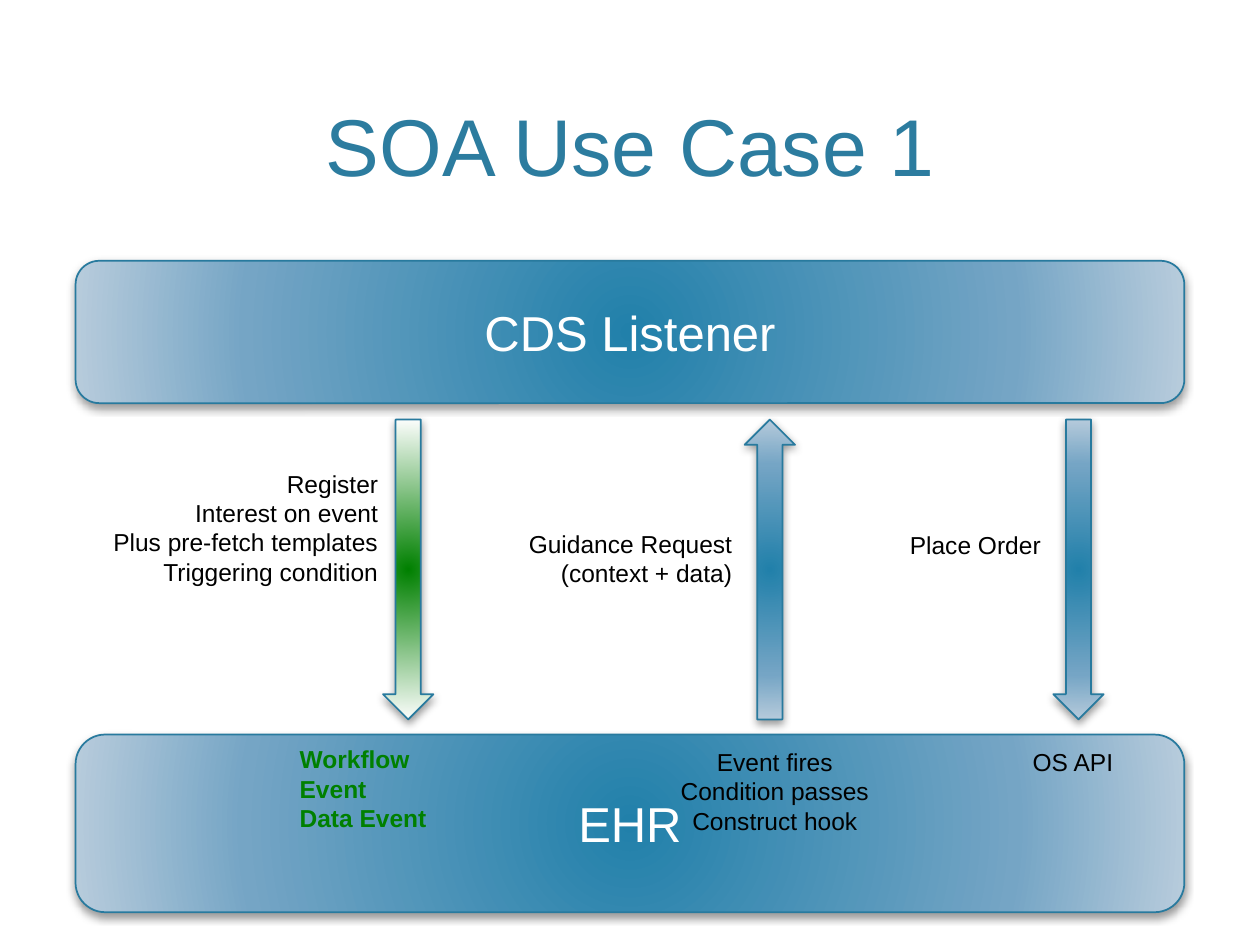
"""Builds the SOA Use Case 1 slide: a CDS listener and an EHR exchanging messages."""
from lxml import etree
from pptx import Presentation
from pptx.dml.color import RGBColor
from pptx.enum import shapes, text
from pptx.oxml import parse_xml
from pptx.util import Inches, Pt

NS = "http://schemas.openxmlformats.org/drawingml/2006/main"
BLUE = [(0, "2180AA"), (69, "75A5C5"), (100, "B8CCDC")]
GREEN = [(0, "008000"), (100, "FFFFFF")]
LEFT, CENTER, RIGHT = text.PP_ALIGN.LEFT, text.PP_ALIGN.CENTER, text.PP_ALIGN.RIGHT
TOP, MIDDLE, BOTTOM = text.MSO_ANCHOR.TOP, text.MSO_ANCHOR.MIDDLE, text.MSO_ANCHOR.BOTTOM


def write(sp, lines, align, anchor, size, color, bold=False):
    tf = sp.text_frame
    tf.word_wrap = True
    tf.vertical_anchor = anchor
    fmt = {"name": "Arial", "size": Pt(size), "bold": bold}
    for i, line in enumerate(lines):
        p = tf.paragraphs[0] if i == 0 else tf.add_paragraph()
        p.alignment = align
        r = p.add_run()
        r.text = line
        for key, value in fmt.items():
            setattr(r.font, key, value)
        r.font.color.rgb = RGBColor.from_string(color)


def add_block(kind, box, stops):
    sp = s.shapes.add_shape(kind, *map(Inches, box))
    sp.line.color.rgb = RGBColor.from_string("287A9E")
    sp.line.width = Pt(1)
    marks = "".join(f'<a:gs pos="{pos * 1000}"><a:srgbClr val="{c}"/></a:gs>' for pos, c in stops)
    grad = parse_xml(
        f'<a:gradFill xmlns:a="{NS}" rotWithShape="1"><a:gsLst>{marks}</a:gsLst>'
        '<a:path path="circle"><a:fillToRect l="50000" t="50000" r="50000" b="50000"/></a:path>'
        '</a:gradFill>')
    props = sp.fill._xPr
    props.find(f"{{{NS}}}prstGeom").addnext(grad)
    effects = etree.SubElement(props, f"{{{NS}}}effectLst")
    effects.append(parse_xml(
        f'<a:outerShdw xmlns:a="{NS}" blurRad="{Pt(5)}" dist="{Pt(2)}" dir="5400000" '
        'rotWithShape="0"><a:srgbClr val="000000"><a:alpha val="40000"/></a:srgbClr></a:outerShdw>'))
    style = sp._element.find("{http://schemas.openxmlformats.org/presentationml/2006/main}style")
    sp._element.remove(style)
    return sp


prs = Presentation()
prs.slide_width, prs.slide_height = Inches(10), Inches(7.5)
s = prs.slides.add_slide(prs.slide_layouts[6])

title = s.shapes.add_textbox(*map(Inches, (0.6, 0.12, 8.8, 1.46)))
write(title, ["SOA Use Case 1"], CENTER, BOTTOM, 46, "2C7C9F")

for name, top, height in [("EHR", 5.83, 1.41), ("CDS Listener", 2.07, 1.13)]:
    sp = add_block(shapes.MSO_SHAPE.ROUNDED_RECTANGLE, (0.6, top, 8.8, height), BLUE)
    write(sp, [name], CENTER, MIDDLE, 28, "FFFFFF")

for left, rotation, stops in [(3.04, 0, GREEN), (5.91, 180, BLUE), (8.36, 0, BLUE)]:
    sp = add_block(shapes.MSO_SHAPE.DOWN_ARROW, (left, 3.33, 0.4, 2.38), stops)
    sp.rotation = rotation

labels = [
    ((0.55, 3.67, 2.55, 1.28), RIGHT, "000000", False,
     ["Register", "Interest on event", "Plus pre-fetch templates", "Triggering condition"]),
    ((4.03, 4.15, 1.88, 0.57), RIGHT, "000000", False, ["Guidance Request", "(context + data)"]),
    ((7.06, 4.16, 1.3, 0.34), RIGHT, "000000", False, ["Place Order"]),
    ((2.28, 5.86, 1.64, 0.57), LEFT, "008000", True, ["Workflow Event", "Data Event"]),
    ((5.25, 5.88, 1.8, 0.81), CENTER, "000000", False,
     ["Event fires", "Condition passes", "Construct hook"]),
    ((8.09, 5.88, 0.85, 0.34), CENTER, "000000", False, ["OS API"]),
]
for box, align, color, bold, lines in labels:
    sp = s.shapes.add_textbox(*map(Inches, box))
    write(sp, lines, align, TOP, 14, color, bold)

prs.save("out.pptx")
